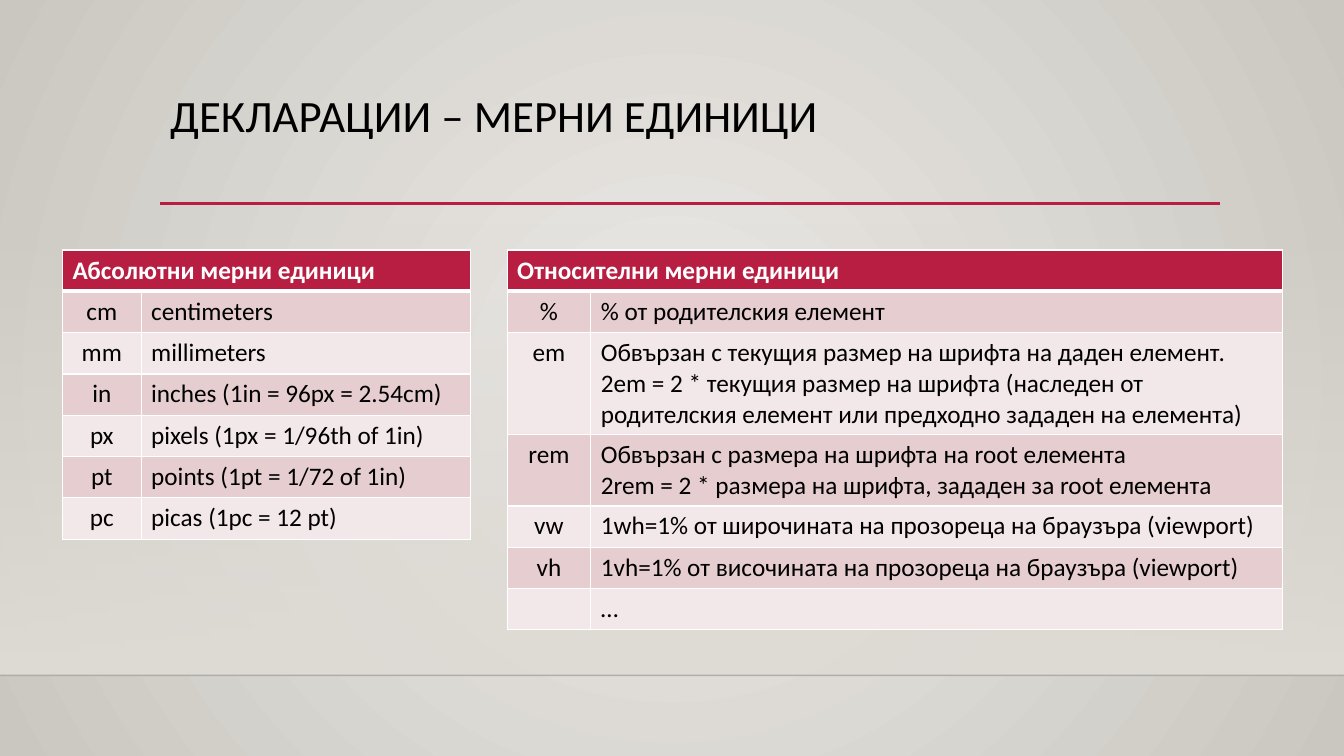
from lxml.etree import SubElement
from pptx import Presentation
from pptx.dml.color import RGBColor
from pptx.enum.shapes import MSO_CONNECTOR, MSO_SHAPE
from pptx.enum.text import MSO_ANCHOR, PP_ALIGN
from pptx.oxml import parse_xml
from pptx.oxml.ns import nsdecls, qn
from pptx.util import Inches, Pt

COLORS = {
    "accent": "B71E42", "band_dark": "E6CDCF", "band_light": "F3E8E9",
    "white": "FFFFFF", "black": "000000", "floor": "DFDBD5",
    "bg_center": "ECEAE7", "bg_edge": "CAC7C1",
}
ROW_H = 0.41

ABSOLUTE = [
    ("cm", "centimeters"),
    ("mm", "millimeters"),
    ("in", "inches (1in = 96px = 2.54cm)"),
    ("px", "pixels (1px = 1/96th of 1in)"),
    ("pt", "points (1pt = 1/72 of 1in)"),
    ("pc", "picas (1pc = 12 pt)"),
]
RELATIVE = [
    ("%", "% от родителския елемент"),
    ("em", "Обвързан с текущия размер на шрифта на даден елемент.\n"
           "2em = 2 * текущия размер на шрифта (наследен от "
           "родителския елемент или предходно зададен на елемента)"),
    ("rem", "Обвързан с размера на шрифта на root елемента\n"
            "2rem = 2 * размера на шрифта, зададен за root елемента"),
    ("vw", "1wh=1% от широчината на прозореца на браузъра (viewport)"),
    ("vh", "1vh=1% от височината на прозореца на браузъра (viewport)"),
    ("", "…"),
]


def rgb(name):
    return RGBColor.from_string(COLORS[name])


def set_alpha(color_el, percent):
    SubElement(color_el, qn("a:alpha")).set("val", str(percent * 1000))


class SlideBuilder:
    font = "Calibri"

    def __init__(self, s):
        self.s = s

    def gradient(self, fill, start, end):
        fill.gradient()
        for stop, name, pos in zip(fill.gradient_stops, (start, end), (0, 1)):
            stop.color.rgb = rgb(name)
            stop.position = pos

    def background(self, center, edge):
        self.gradient(self.s.background.fill, center, edge)
        grad = self.s.element.find(".//" + qn("p:bgPr")).find(qn("a:gradFill"))
        grad.replace(grad.find(qn("a:lin")), parse_xml(
            f'<a:path {nsdecls("a")} path="circle">'
            '<a:fillToRect l="50000" t="50000" r="50000" b="50000"/></a:path>'))

    def fade(self, x, y, w, h, name):
        sp = self.s.shapes.add_shape(
            MSO_SHAPE.RECTANGLE, Inches(x), Inches(y), Inches(w), Inches(h))
        sp.shadow.inherit = False
        sp.line.fill.background()
        self.gradient(sp.fill, name, name)
        sp.fill.gradient_angle = 270
        set_alpha(sp.element.spPr.find(".//" + qn("a:srgbClr")), 0)

    def line(self, x1, x2, y, name, width, alpha=None):
        c = self.s.shapes.add_connector(
            MSO_CONNECTOR.STRAIGHT, Inches(x1), Inches(y), Inches(x2), Inches(y))
        c.line.color.rgb = rgb(name)
        c.line.width = Pt(width)
        spPr = c.element.spPr
        if alpha is not None:
            set_alpha(spPr.find(".//" + qn("a:srgbClr")), alpha)
        SubElement(spPr, qn("a:effectLst"))

    def text(self, tf, text, size=18, color="black", bold=False, align=PP_ALIGN.LEFT):
        p = tf.paragraphs[0]
        p.alignment = align
        for i, part in enumerate(text.split("\n")):
            if i:
                p.add_line_break()
            r = p.add_run()
            r.text = part
            r.font.name = self.font
            r.font.size = Pt(size)
            r.font.bold = bold
            r.font.color.rgb = rgb(color)
        return p

    def title(self, x, y, w, h, text):
        tf = self.s.shapes.add_textbox(
            Inches(x), Inches(y), Inches(w), Inches(h)).text_frame
        tf.word_wrap = True
        tf.vertical_anchor = MSO_ANCHOR.TOP
        self.text(tf, text, size=32).line_spacing = 0.9

    def style_cell(self, cell, fill, top=1, bottom=1):
        cell.fill.solid()
        cell.fill.fore_color.rgb = rgb(fill)
        tcPr = cell._tc.get_or_add_tcPr()
        for i, (side, width) in enumerate(
                (("L", 1), ("R", 1), ("T", top), ("B", bottom))):
            tcPr.insert(i, parse_xml(
                f'<a:ln{side} {nsdecls("a")} w="{Pt(width)}"><a:solidFill>'
                f'<a:srgbClr val="{COLORS["white"]}"/></a:solidFill></a:ln{side}>'))

    def table(self, x, y, cols, heading, units, heights):
        table = self.s.shapes.add_table(
            len(units) + 1, 2, Inches(x), Inches(y),
            Inches(sum(cols)), Inches(sum(heights))).table
        for col, w in zip(table.columns, cols):
            col.width = Inches(w)
        for row, h in zip(table.rows, heights):
            row.height = Inches(h)
        # Heading row
        table.cell(0, 0).merge(table.cell(0, 1))
        for c in range(2):
            self.style_cell(table.cell(0, c), "accent", bottom=3)
        self.text(table.cell(0, 0).text_frame, heading, color="white", bold=True)
        # Banded unit rows
        for i, texts in enumerate(units, 1):
            for c, (text, align) in enumerate(
                    zip(texts, (PP_ALIGN.CENTER, PP_ALIGN.LEFT))):
                cell = table.cell(i, c)
                self.style_cell(cell, "band_dark" if i % 2 else "band_light",
                                top=3 if i == 1 else 1)
                self.text(cell.text_frame, text, align=align)


def main():
    prs = Presentation()
    prs.slide_width, prs.slide_height = Inches(13.33), Inches(7.5)
    b = SlideBuilder(prs.slides.add_slide(prs.slide_layouts[6]))

    # Backdrop
    b.background("bg_center", "bg_edge")
    b.fade(0, 2.21, 13.33, 4.49, "floor")
    b.line(0, 13.33, 6.7, "black", 1, alpha=20)

    # Title
    b.line(1.59, 12.1, 2.02, "accent", 2.5)
    b.title(1.59, 0.88, 10.5, 1.15, "ДЕКЛАРАЦИИ – МЕРНИ ЕДИНИЦИ")

    # Unit tables
    b.table(0.62, 2.48, (0.78, 3.27), "Абсолютни мерни единици",
            ABSOLUTE, [ROW_H] * 7)
    b.table(5.03, 2.48, (0.83, 6.86), "Относителни мерни единици",
            RELATIVE, [ROW_H, ROW_H, 1.01, 0.71] + [ROW_H] * 3)

    prs.save("out.pptx")


if __name__ == "__main__":
    main()
